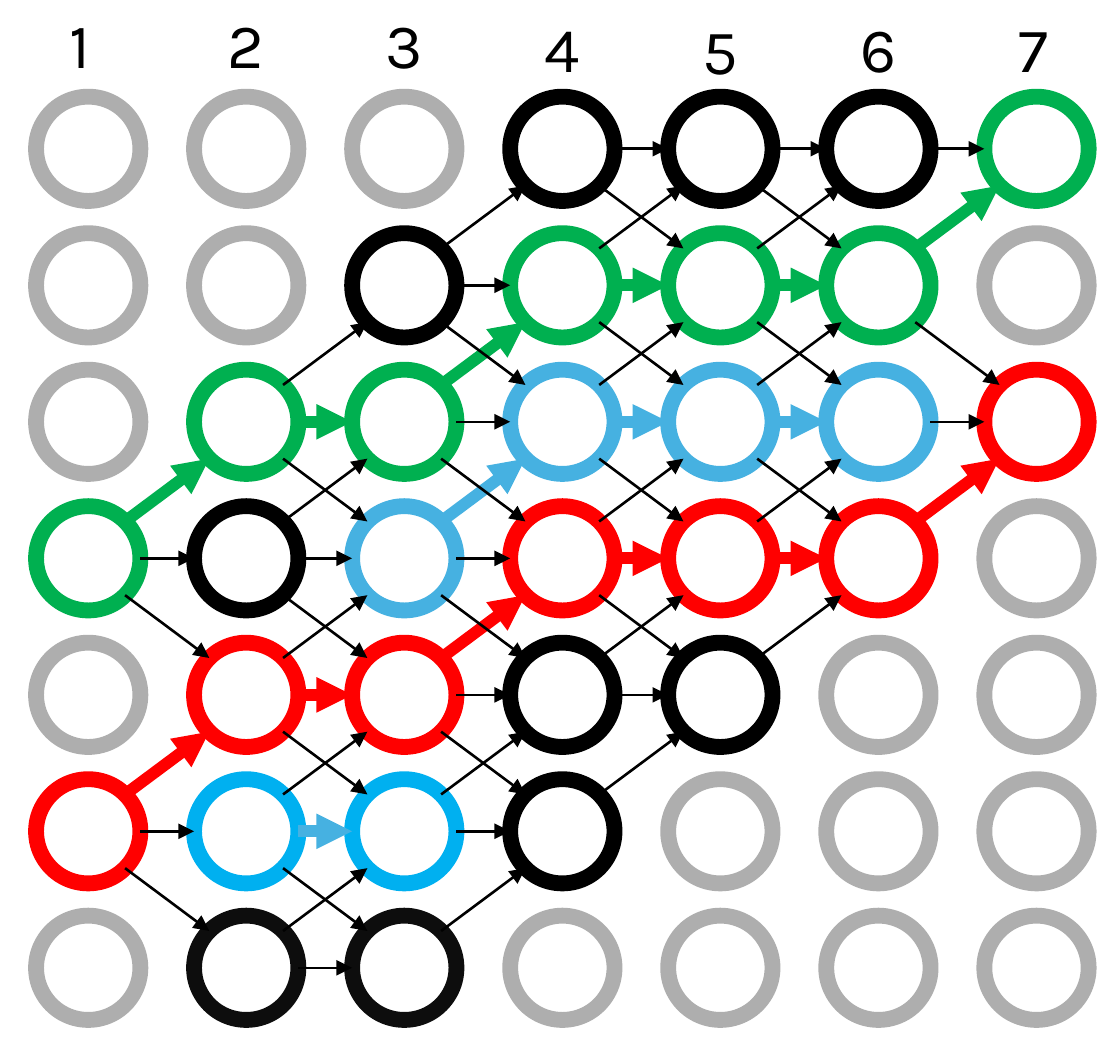
import math

import pptx
import pptx.dml.color
import pptx.enum.shapes
import pptx.enum.text
import pptx.oxml.ns
import pptx.util
from lxml import etree

Inches = pptx.util.Inches
Pt = pptx.util.Pt
RGBColor = pptx.dml.color.RGBColor

GRAY = RGBColor(0xAE, 0xAE, 0xAE)
GREEN = RGBColor(0x00, 0xB0, 0x50)
RED = RGBColor(0xFF, 0x00, 0x00)
BLUE = RGBColor(0x00, 0xB0, 0xF0)
SKY = RGBColor(0x46, 0xB1, 0xE1)
BLACK = RGBColor(0x00, 0x00, 0x00)
DARK = RGBColor(0x0D, 0x0D, 0x0D)
WHITE = RGBColor(0xFF, 0xFF, 0xFF)

RINGS = {".": GRAY, "G": GREEN, "R": RED, "B": BLUE,
         "S": SKY, "K": BLACK, "D": DARK}
PATHS = {"G": GREEN, "R": RED, "B": SKY, "S": SKY}

# One string per step, read from the top row down
STEPS = ["...G.R.", "..GKRBD", ".KGSRBD", "KGSRKK.",
         "KGSRK..", "KGSR...", "G.R...."]
LABEL_TOPS = [-0.02, -0.02, -0.02, 0, 0.01, 0, 0]

# The slide measures 15 by 14 cm
WIDTH, HEIGHT = 15 / 2.54, 14 / 2.54
LEFT, TOP, SIZE = 0.19, 0.51, 0.55
STEP_GAP, ROW_GAP = 5 / 6, 0.72


def center(col, row):
    return LEFT + SIZE / 2 + col * STEP_GAP, TOP + SIZE / 2 + row * ROW_GAP


def add_ring(slide, col, row, state):
    x, y = center(col, row)
    ring = slide.shapes.add_shape(
        pptx.enum.shapes.MSO_SHAPE.OVAL,
        Inches(x - SIZE / 2), Inches(y - SIZE / 2), Inches(SIZE), Inches(SIZE))
    ring.shadow.inherit = False
    if state in "GR":
        ring.fill.background()
    else:
        ring.fill.solid()
        ring.fill.fore_color.rgb = WHITE
    ring.line.color.rgb = RINGS[state]
    ring.line.width = Pt(6)


def add_arrow(slide, col, row, turn, color, width):
    """Join a ring to the next step; turn is -1 for up, 0 flat, 1 down."""
    x1, y1 = center(col, row)
    x2, y2 = center(col + 1, row + turn)
    angle = turn * math.pi / 4
    dx, dy = SIZE / 2 * math.cos(angle), SIZE / 2 * math.sin(angle)
    arrow = slide.shapes.add_connector(
        pptx.enum.shapes.MSO_CONNECTOR.STRAIGHT,
        Inches(x1 + dx), Inches(y1 + dy), Inches(x2 - dx), Inches(y2 - dy))
    arrow.line.color.rgb = color
    arrow.line.width = Pt(width)
    qn = pptx.oxml.ns.qn
    line = arrow._element.spPr.find(qn("a:ln"))
    etree.SubElement(line, qn("a:tailEnd"), type="triangle")
    etree.SubElement(arrow._element.spPr, qn("a:effectLst"))


def add_text(slide, text, left, top, size=24, font="Karla", color=BLACK):
    box = slide.shapes.add_textbox(
        Inches(left), Inches(top), Inches(0.38), Inches(0.5))
    frame = box.text_frame
    frame.word_wrap = False
    frame.auto_size = pptx.enum.text.MSO_AUTO_SIZE.SHAPE_TO_FIT_TEXT
    run = frame.paragraphs[0].add_run()
    run.text = text
    run.font.size = Pt(size)
    run.font.name = font
    run.font.color.rgb = color


def find_links():
    """Split links between active rings into colored paths and thin links."""
    paths, links = [], []
    for col, (step, after) in enumerate(zip(STEPS, STEPS[1:])):
        for row, state in enumerate(step):
            for turn in (-1, 0, 1):
                goal = row + turn
                if state == "." or not 0 <= goal < len(after) or after[goal] == ".":
                    continue
                if state == after[goal] and state in PATHS:
                    paths.append((col, row, turn, PATHS[state], 4.5))
                else:
                    links.append((col, row, turn, BLACK, 1))
    return paths, links


def main():
    deck = pptx.Presentation()
    deck.slide_width = Inches(WIDTH)
    deck.slide_height = Inches(HEIGHT)
    slide = deck.slides.add_slide(deck.slide_layouts[6])
    for col, step in enumerate(STEPS):
        for row, state in enumerate(step):
            add_ring(slide, col, row, state)
    paths, links = find_links()
    for link in paths:
        add_arrow(slide, *link)
    for col, top in enumerate(LABEL_TOPS):
        add_text(slide, str(col + 1), 0.27 + col * STEP_GAP, top)
    for link in links:
        add_arrow(slide, *link)
    deck.save("out.pptx")


if __name__ == "__main__":
    main()
